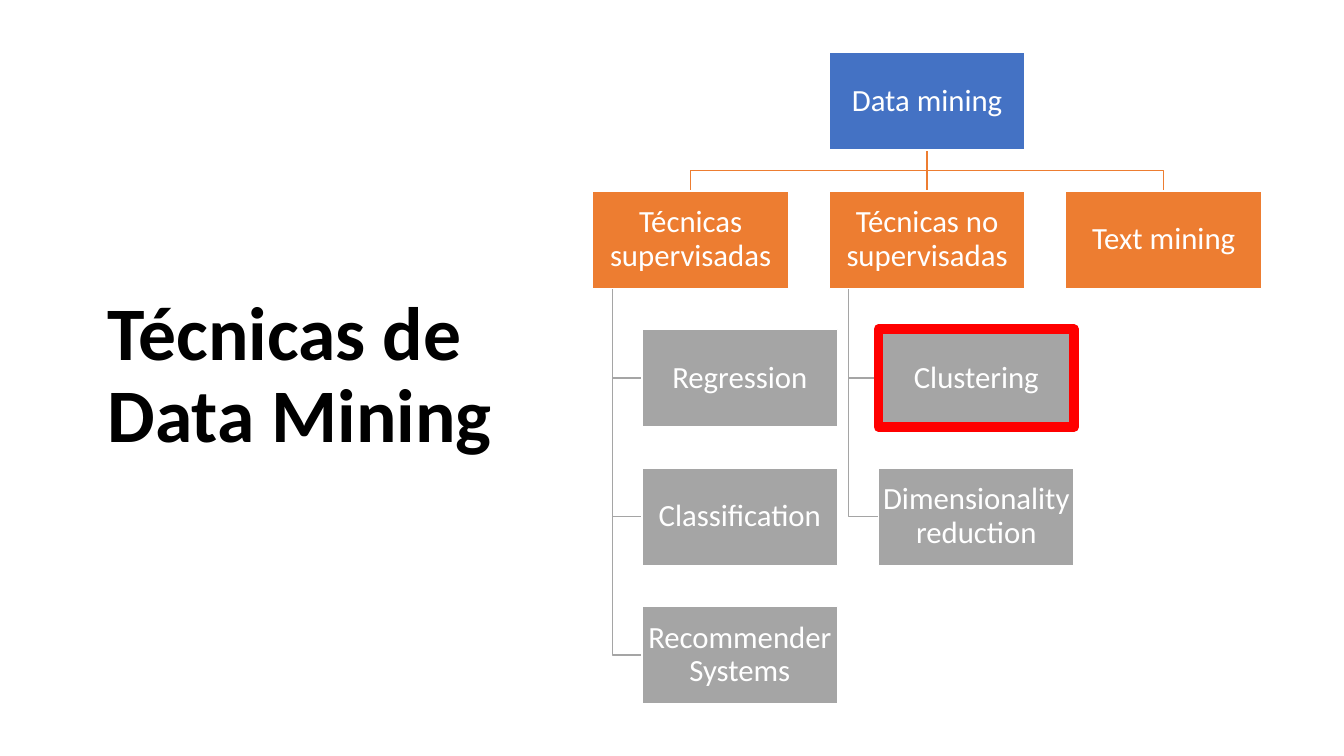
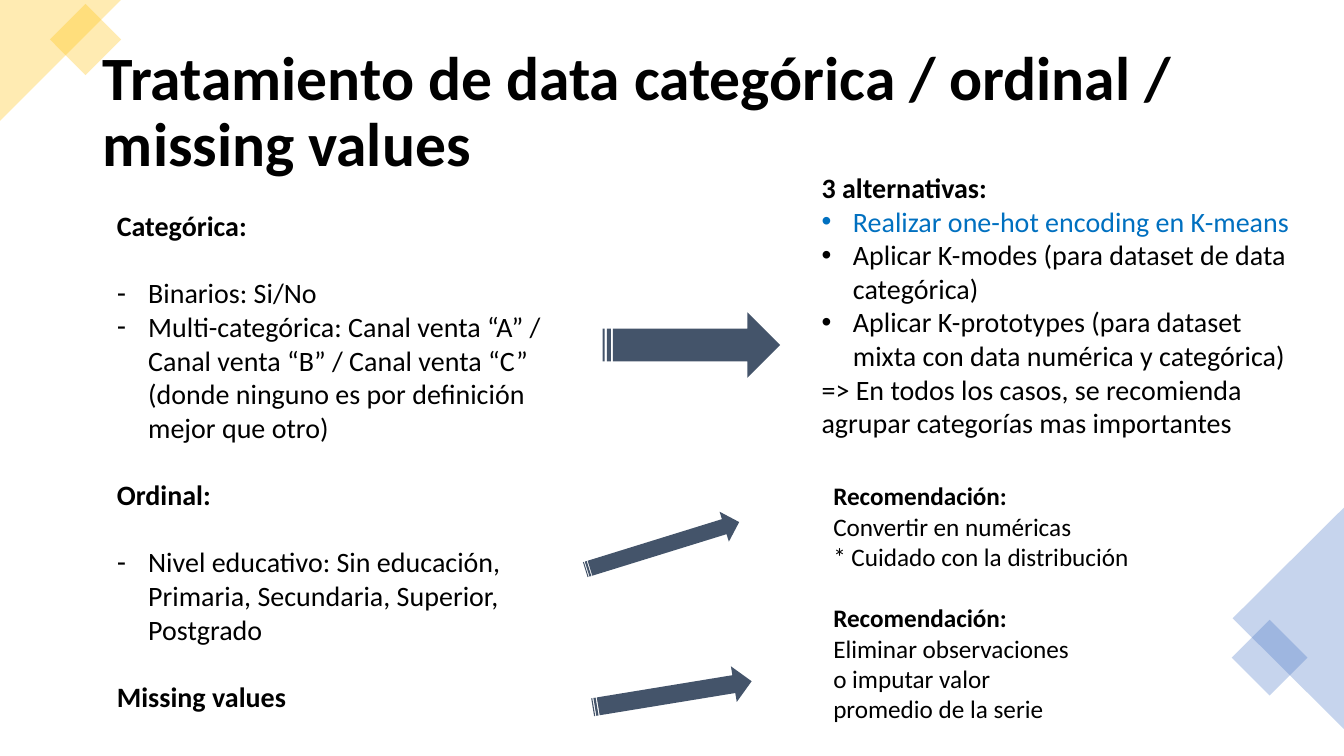
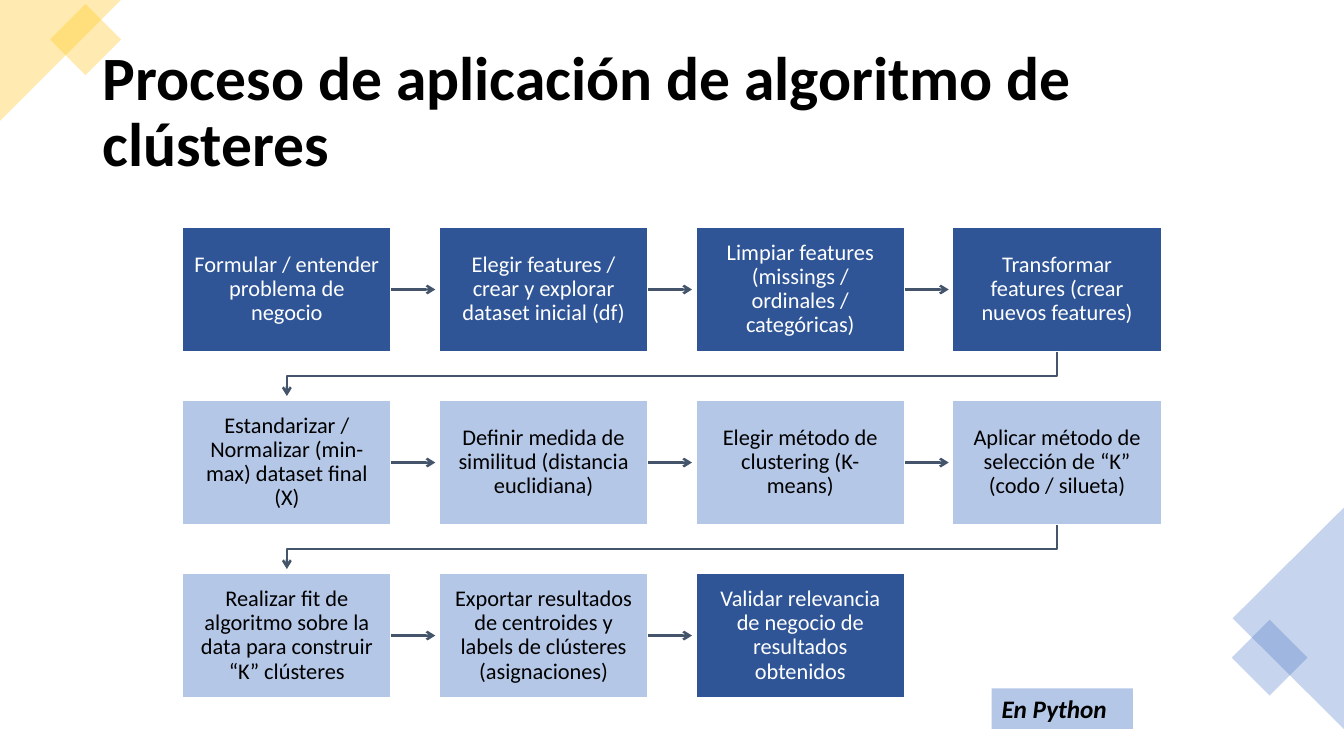
from typing import NamedTuple, Optional

from pptx import Presentation
from pptx.dml.color import RGBColor
from pptx.enum import shapes, text
from pptx.oxml import ns, xmlchemy
from pptx.util import Cm, Pt

FONT = "Calibri"
BLACK = RGBColor(0x00, 0x00, 0x00)
WHITE = RGBColor(0xFF, 0xFF, 0xFF)
RED = RGBColor(0xFF, 0x00, 0x00)
BLUE = RGBColor(0x44, 0x72, 0xC4)
DARK_BLUE = RGBColor(0x2F, 0x55, 0x97)
PALE_BLUE = RGBColor(0xB4, 0xC7, 0xE7)
LINK_BLUE = RGBColor(0x00, 0x70, 0xC0)
ORANGE = RGBColor(0xED, 0x7D, 0x31)
GRAY = RGBColor(0xA5, 0xA5, 0xA5)
GOLD = RGBColor(0xFF, 0xC0, 0x00)
SLATE = RGBColor(0x44, 0x54, 0x6A)

KIND = shapes.MSO_SHAPE
TITLE_ONLY, TWO_CONTENT = 5, 3
TITLE_AREA = (2.34, 1.02, 29.21, 3.68)
BULLET_INDENT = Cm(0.79)


class Line(NamedTuple):
    words: str
    bold: bool = False
    bullet: Optional[str] = None
    color: RGBColor = BLACK
    gap: int = 0


def add_element(parent, tag, **attributes):
    child = xmlchemy.OxmlElement(tag)
    for name, value in attributes.items():
        child.set(name, str(value))
    parent.append(child)
    return child


def place(shape, area):
    shape.left, shape.top, shape.width, shape.height = (Cm(v) for v in area)


def add_span(para, words, size, color=BLACK, bold=False, italic=False):
    span = para.add_run()
    span.text = words
    font = span.font
    font.name, font.size, font.bold, font.italic = FONT, Pt(size), bold, italic
    font.color.rgb = color


def set_bullet(para, bullet):
    props = para._p.get_or_add_pPr()
    indent = BULLET_INDENT if bullet else 0
    props.set("marL", str(indent))
    props.set("indent", str(-indent))
    if bullet:
        add_element(props, "a:buChar", char=bullet)
    else:
        add_element(props, "a:buNone")


def write_lines(shape, lines, size):
    frame = shape.text_frame
    frame.word_wrap = True
    frame.auto_size = text.MSO_AUTO_SIZE.NONE
    for index, line in enumerate(lines):
        para = frame.add_paragraph() if index else frame.paragraphs[0]
        para.space_before = Pt(line.gap)
        set_bullet(para, line.bullet)
        add_span(para, line.words, size, line.color, line.bold)


def add_page(deck, layout, title, area=TITLE_AREA, size=44,
             anchor=text.MSO_ANCHOR.MIDDLE):
    page = deck.slides.add_slide(deck.slide_layouts[layout])
    place(page.shapes.title, area)
    frame = page.shapes.title.text_frame
    frame.word_wrap = True
    frame.auto_size = text.MSO_AUTO_SIZE.NONE
    frame.vertical_anchor = anchor
    para = frame.paragraphs[0]
    para.alignment = text.PP_ALIGN.LEFT
    para.line_spacing = 0.9
    add_span(para, title, size, bold=True)
    return page


def add_solid(page, kind, area, fill, line=None, width=1, turn=0, opacity=100):
    shape = page.shapes.add_shape(kind, *(Cm(v) for v in area))
    shape.shadow.inherit = False
    shape.rotation = turn
    shape.fill.solid()
    shape.fill.fore_color.rgb = fill
    if opacity < 100:
        color = shape._element.spPr.find(".//" + ns.qn("a:srgbClr"))
        add_element(color, "a:alpha", val=opacity * 1000)
    if line is None:
        shape.line.fill.background()
    else:
        shape.line.color.rgb = line
        shape.line.width = Pt(width)
    return shape


def add_box(page, area, words, fill, size, color=WHITE, inset=0.05,
            line=WHITE, width=1):
    box = add_solid(page, KIND.RECTANGLE, area, fill, line, width)
    frame = box.text_frame
    frame.word_wrap = True
    frame.vertical_anchor = text.MSO_ANCHOR.MIDDLE
    frame.margin_left = frame.margin_right = Cm(inset)
    frame.margin_top = frame.margin_bottom = Cm(inset)
    para = frame.paragraphs[0]
    para.alignment = text.PP_ALIGN.CENTER
    para.line_spacing = 0.9
    add_span(para, words, size, color)


def add_route(page, points, color, width, arrow=False):
    """Draw a straight connector, or an open outline when the route bends."""
    points = [(Cm(x), Cm(y)) for x, y in points]
    if len(points) == 2:
        route = page.shapes.add_connector(
            shapes.MSO_CONNECTOR.STRAIGHT, *points[0], *points[1])
    else:
        builder = page.shapes.build_freeform(*points[0])
        builder.add_line_segments(points[1:], close=False)
        route = builder.convert_to_shape()
        route.fill.background()
    route.line.color.rgb = color
    route.line.width = Pt(width)
    if arrow:
        add_element(route.line._get_or_add_ln(), "a:tailEnd", type="arrow")
    add_element(route._element.spPr, "a:effectLst")


def add_corners(page):
    for kind, area, color, turn in (
        (KIND.RIGHT_TRIANGLE, (0, 0, 3.05, 3.05), GOLD, 90),
        (KIND.RECTANGLE, (1.52, 0.36, 1.27, 1.27), GOLD, 45),
        (KIND.ISOSCELES_TRIANGLE, (29.67, 14.17, 5.61, 2.82), BLUE, 270),
        (KIND.RECTANGLE, (31.32, 15.9, 1.35, 1.35), BLUE, 45),
    ):
        add_solid(page, kind, area, color, turn=turn, opacity=30)


def build_techniques(deck):
    page = add_page(deck, TITLE_ONLY, "Técnicas de Data Mining",
                    (2.46, 1.78, 10.36, 9.91), 54, text.MSO_ANCHOR.BOTTOM)
    left, top, width, height = 14.94, 1.32, 4.93, 2.46
    column_step, row_step = 5.96, 3.49
    leaf_indent, trunk_indent = 1.24, 0.49
    branches = (
        ("Técnicas supervisadas",
         ("Regression", "Classification", "Recommender Systems")),
        ("Técnicas no supervisadas",
         ("Clustering", "Dimensionality reduction")),
        ("Text mining", ()),
    )

    root_left = left + column_step
    root_x, root_bottom = root_left + width / 2, top + height
    branch_top = top + row_step
    bus_y = (root_bottom + branch_top) / 2
    boxes = [((root_left, top), "Data mining", BLUE)]
    for column, (branch, leaves) in enumerate(branches):
        x = left + column * column_step
        middle = x + width / 2
        boxes.append(((x, branch_top), branch, ORANGE))
        if column == 1:
            points = [(root_x, root_bottom), (root_x, branch_top)]
        else:
            points = [(root_x, root_bottom), (root_x, bus_y),
                      (middle, bus_y), (middle, branch_top)]
        add_route(page, points, ORANGE, 1)
        for row, leaf in enumerate(leaves, start=2):
            leaf_top = top + row * row_step
            leaf_y = leaf_top + height / 2
            trunk_x = x + trunk_indent
            boxes.append(((x + leaf_indent, leaf_top), leaf, GRAY))
            add_route(page, [(trunk_x, branch_top + height), (trunk_x, leaf_y),
                             (x + leaf_indent, leaf_y)], GRAY, 1)

    for corner, words, fill in boxes:
        line, weight = (RED, 7) if words == "Clustering" else (WHITE, 1)
        add_box(page, (*corner, width, height), words, fill, 22,
                line=line, width=weight)


def build_treatment(deck):
    page = add_page(deck, TWO_CONTENT,
                    "Tratamiento de data categórica / ordinal / missing values")
    add_corners(page)
    data_kinds, options = page.placeholders[1], page.placeholders[2]
    place(data_kinds, (2.69, 5.13, 11.25, 13.5))
    write_lines(data_kinds, (
        Line("Categórica:", bold=True),
        Line("Binarios: Si/No", bullet="-", gap=24),
        Line("Multi-categórica: Canal venta “A” / Canal venta “B” / Canal "
             "venta “C” (donde ninguno es por definición mejor que otro)",
             bullet="-"),
        Line("Ordinal:", bold=True, gap=24),
        Line("Nivel educativo: Sin educación, Primaria, Secundaria, "
             "Superior, Postgrado", bullet="-", gap=24),
        Line("Missing values", bold=True, gap=24),
    ), 20)
    place(options, (20.45, 4.17, 12.34, 7.09))
    write_lines(options, (
        Line("3 alternativas:", bold=True),
        Line("Realizar one-hot encoding en K-means", bullet="•",
             color=LINK_BLUE),
        Line("Aplicar K-modes (para dataset de data categórica)", bullet="•"),
        Line("Aplicar K-prototypes (para dataset mixta con data numérica y "
             "categórica)", bullet="•"),
        Line("=> En todos los casos, se recomienda agrupar categorías mas "
             "importantes"),
    ), 20)

    for area, advice in (
        ((20.75, 11.99, 10, 2.57),
         ("Convertir en numéricas", "* Cuidado con la distribución")),
        ((20.75, 15.06, 6.6, 3.33),
         ("Eliminar observaciones o imputar valor promedio de la serie",)),
    ):
        note = page.shapes.add_textbox(*(Cm(v) for v in area))
        heading = Line("Recomendación:", bold=True)
        write_lines(note, (heading, *(Line(words) for words in advice)), 18)

    for area, turn in (
        ((15.19, 7.87, 4.47, 1.65), 0),
        ((14.66, 13.36, 4.06, 0.79), -17.2),
        ((14.91, 17.04, 4.06, 0.91), -9.3),
    ):
        add_solid(page, KIND.STRIPED_RIGHT_ARROW, area, SLATE, turn=turn)


def build_process(deck):
    page = add_page(deck, TITLE_ONLY,
                    "Proceso de aplicación de algoritmo de clústeres")
    add_corners(page)
    steps = (
        ("Formular / entender problema de negocio", DARK_BLUE),
        ("Elegir features / crear y explorar dataset inicial (df)", DARK_BLUE),
        ("Limpiar features (missings / ordinales / categóricas)", DARK_BLUE),
        ("Transformar features (crear nuevos features)", DARK_BLUE),
        ("Estandarizar / Normalizar (min-max) dataset final (X)", PALE_BLUE),
        ("Definir medida de similitud (distancia euclidiana)", PALE_BLUE),
        ("Elegir método de clustering (K-means)", PALE_BLUE),
        ("Aplicar método de selección de “K” (codo / silueta)", PALE_BLUE),
        ("Realizar fit de algoritmo sobre la data para construir “K” clústeres",
         PALE_BLUE),
        ("Exportar resultados de centroides y labels de clústeres "
         "(asignaciones)", PALE_BLUE),
        ("Validar relevancia de negocio de resultados obtenidos", DARK_BLUE),
    )
    columns, left, top, width, height = 4, 4.6, 5.72, 5.26, 3.15
    column_step, row_step, tip_gap = 6.47, 4.36, 0.1

    for index, (words, fill) in enumerate(steps):
        row, column = divmod(index, columns)
        x, y = left + column * column_step, top + row * row_step
        color = WHITE if fill == DARK_BLUE else BLACK
        add_box(page, (x, y, width, height), words, fill, 16, color, 0.3)
        if index == len(steps) - 1:
            continue
        if column < columns - 1:
            middle = y + height / 2
            points = [(x + width, middle), (x + column_step - tip_gap, middle)]
        else:
            start, end = x + width / 2, left + width / 2
            bottom, next_top = y + height, y + row_step
            turn_y = (bottom + next_top) / 2
            points = [(start, bottom), (start, turn_y),
                      (end, turn_y), (end, next_top - tip_gap)]
        add_route(page, points, SLATE, 1.75, arrow=True)

    badge = add_solid(page, KIND.RECTANGLE, (24.99, 17.35, 3.56, 1.02),
                      PALE_BLUE)
    badge.text_frame.vertical_anchor = text.MSO_ANCHOR.TOP
    para = badge.text_frame.paragraphs[0]
    para.alignment = text.PP_ALIGN.LEFT
    add_span(para, "En Python", 18, bold=True, italic=True)


def main():
    deck = Presentation()
    deck.slide_width, deck.slide_height = Cm(33.87), Cm(19.05)
    build_techniques(deck)
    build_treatment(deck)
    build_process(deck)
    deck.save("out.pptx")


if __name__ == "__main__":
    main()
